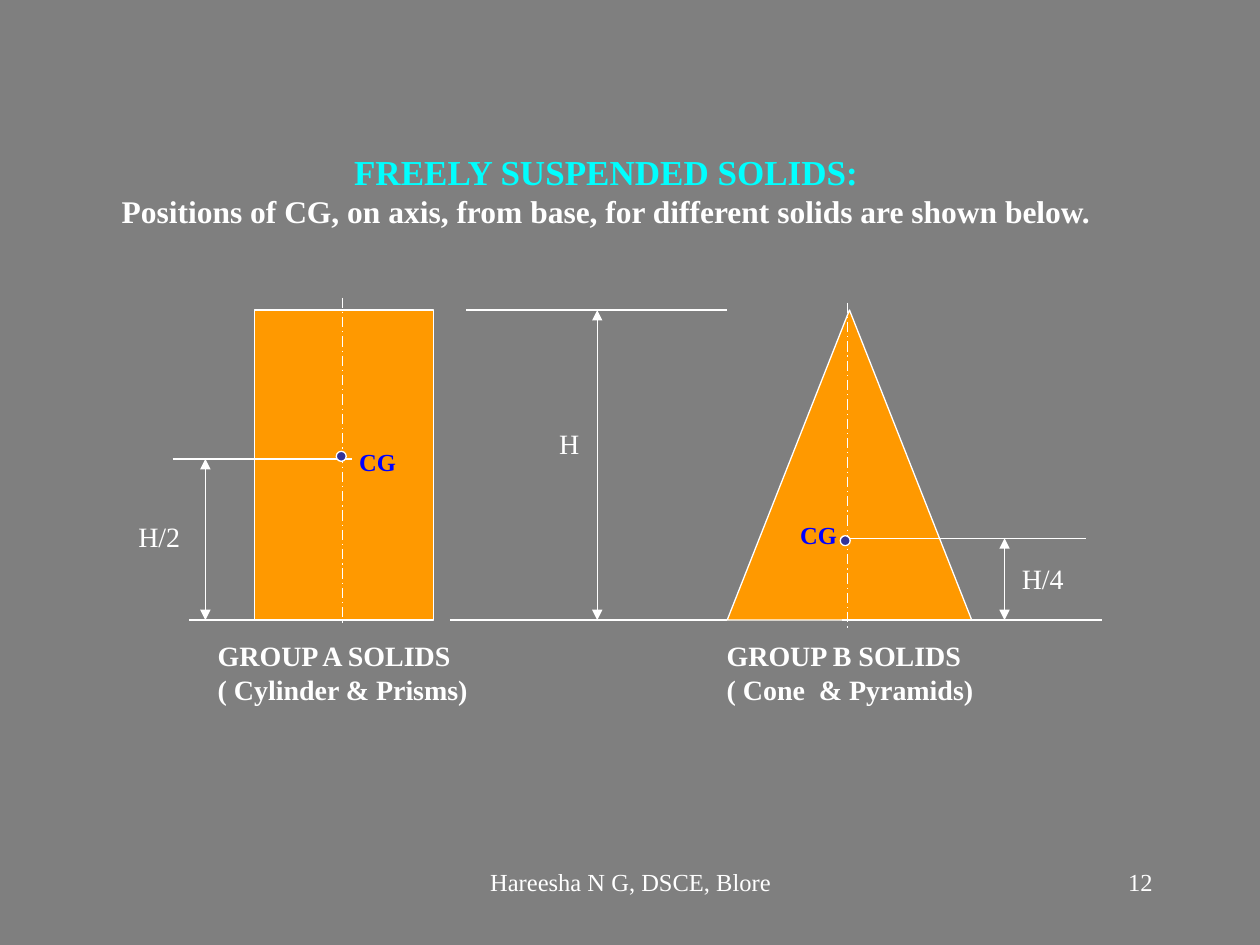
"""Build the slide on centres of gravity of freely suspended solids."""
from dataclasses import dataclass

from lxml.etree import SubElement
from pptx import Presentation
from pptx.dml.color import RGBColor
from pptx.enum.dml import MSO_LINE
from pptx.enum.shapes import MSO_CONNECTOR, MSO_SHAPE
from pptx.enum.text import MSO_ANCHOR, MSO_AUTO_SIZE, PP_ALIGN
from pptx.oxml.ns import qn
from pptx.slide import Slide
from pptx.util import Cm, Pt


@dataclass(frozen=True)
class Theme:
    font: str = "Times New Roman"
    background: RGBColor = RGBColor(0x7F, 0x7F, 0x7F)
    white: RGBColor = RGBColor(0xFF, 0xFF, 0xFF)
    heading: RGBColor = RGBColor(0x00, 0xFF, 0xFF)
    solid: RGBColor = RGBColor(0xFF, 0x99, 0x00)
    marker: RGBColor = RGBColor(0x33, 0x33, 0x99)
    marker_label: RGBColor = RGBColor(0x00, 0x00, 0xFF)
    heading_size: int = 20
    subtitle_size: int = 18
    label_size: int = 16
    small_size: int = 14
    line_width: float = 0.75


THEME = Theme()
TOP, BASE = 6.25, 12.5
HALF_HEIGHT, QUARTER_HEIGHT = 9.25, 10.85
LABEL_HEIGHT = 0.94
MARKER_LABEL_WIDTH, MARKER_LABEL_HEIGHT = 1.32, 0.86
FOOTER_TOP, FOOTER_HEIGHT = 17.35, 1.27


@dataclass(frozen=True)
class Solid:
    kind: MSO_SHAPE
    left: float
    top: float
    width: float
    height: float
    fill: RGBColor = THEME.solid


@dataclass(frozen=True)
class Rule:
    start_x: float
    start_y: float
    end_x: float
    end_y: float
    arrows: bool = False
    dash: MSO_LINE | None = None


@dataclass(frozen=True)
class Line:
    text: str
    size: int = THEME.label_size
    color: RGBColor = THEME.white
    bold: bool = False


@dataclass(frozen=True)
class Label:
    left: float
    top: float
    width: float
    height: float
    lines: tuple[Line, ...]
    align: PP_ALIGN = PP_ALIGN.LEFT
    wrap: bool = False


SOLIDS = (
    Solid(MSO_SHAPE.RECTANGLE, 5.13, TOP, 3.61, BASE - TOP),
    Solid(MSO_SHAPE.ISOSCELES_TRIANGLE, 14.66, TOP, 4.93, BASE - TOP),
)
MARKERS = (
    Solid(MSO_SHAPE.OVAL, 6.78, 9.1, 0.2, 0.2, THEME.marker),
    Solid(MSO_SHAPE.OVAL, 16.94, 10.8, 0.2, 0.2, THEME.marker),
)
RULES = (
    Rule(9.4, TOP, 14.66, TOP),
    Rule(9.07, BASE, 14.66, BASE),
    Rule(12.04, TOP, 12.04, BASE, arrows=True),
    Rule(6.9, 6, 6.9, 12.57, dash=MSO_LINE.LONG_DASH_DOT),
    Rule(17.09, 6.1, 17.09, 12.67, dash=MSO_LINE.LONG_DASH_DOT),
    Rule(3.81, BASE, 5.46, BASE),
    Rule(3.48, HALF_HEIGHT, 7.1, HALF_HEIGHT),
    Rule(16.97, QUARTER_HEIGHT, 21.89, QUARTER_HEIGHT),
    Rule(16.97, BASE, 22.22, BASE),
    Rule(20.25, QUARTER_HEIGHT, 20.25, BASE, arrows=True),
    Rule(4.14, HALF_HEIGHT, 4.14, BASE, arrows=True),
)
CG_LINE = Line("CG", THEME.small_size, THEME.marker_label, True)
LABELS = (
    Label(2.16, 2.9, 20.12, 1.88, (
        Line("FREELY SUSPENDED SOLIDS:", THEME.heading_size, THEME.heading, True),
        Line("Positions of CG, on axis, from base, for different solids are shown below.",
             THEME.subtitle_size, bold=True),
    ), PP_ALIGN.CENTER),
    Label(11.02, 8.48, 0.91, LABEL_HEIGHT, (Line("H"),)),
    Label(2.54, 10.34, 1.35, LABEL_HEIGHT, (Line("H/2"),)),
    Label(20.35, 11.2, 1.35, LABEL_HEIGHT, (Line("H/4"),)),
    Label(4.14, 12.75, 5.56, 1.63, (
        Line("GROUP A SOLIDS", bold=True), Line("( Cylinder & Prisms)", bold=True))),
    Label(14.4, 12.75, 5.49, 1.63, (
        Line("GROUP B SOLIDS", bold=True), Line("( Cone  & Pyramids)", bold=True))),
    Label(6.99, 8.89, MARKER_LABEL_WIDTH, MARKER_LABEL_HEIGHT, (CG_LINE,)),
    Label(15.88, 10.36, MARKER_LABEL_WIDTH, MARKER_LABEL_HEIGHT, (CG_LINE,)),
    Label(18.21, FOOTER_TOP, 5.28, FOOTER_HEIGHT,
          (Line("12", THEME.small_size),), PP_ALIGN.RIGHT, True),
    Label(8.69, FOOTER_TOP, 8.05, FOOTER_HEIGHT,
          (Line("Hareesha N G, DSCE, Blore", THEME.small_size),), PP_ALIGN.CENTER, True),
)


def draw_solid(slide: Slide, solid: Solid) -> None:
    shape = slide.shapes.add_shape(
        solid.kind, Cm(solid.left), Cm(solid.top), Cm(solid.width), Cm(solid.height))
    shape.shadow.inherit = False
    shape.fill.solid()
    shape.fill.fore_color.rgb = solid.fill
    shape.line.color.rgb = THEME.white
    shape.line.width = Pt(THEME.line_width)


def draw_rule(slide: Slide, rule: Rule) -> None:
    connector = slide.shapes.add_connector(
        MSO_CONNECTOR.STRAIGHT, Cm(rule.start_x), Cm(rule.start_y),
        Cm(rule.end_x), Cm(rule.end_y))
    connector.line.color.rgb = THEME.white
    connector.line.width = Pt(THEME.line_width)
    if rule.dash is not None:
        connector.line.dash_style = rule.dash
    if rule.arrows:
        outline = connector.line._get_or_add_ln()
        for end in ("a:headEnd", "a:tailEnd"):
            SubElement(outline, qn(end), type="triangle")
    SubElement(connector._element.spPr, qn("a:effectLst"))


def draw_label(slide: Slide, label: Label) -> None:
    box = slide.shapes.add_textbox(
        Cm(label.left), Cm(label.top), Cm(label.width), Cm(label.height))
    frame = box.text_frame
    frame.word_wrap = label.wrap
    frame.auto_size = MSO_AUTO_SIZE.NONE if label.wrap else MSO_AUTO_SIZE.SHAPE_TO_FIT_TEXT
    frame.vertical_anchor = MSO_ANCHOR.TOP
    for index, line in enumerate(label.lines):
        paragraph = frame.add_paragraph() if index else frame.paragraphs[0]
        paragraph.alignment = label.align
        run = paragraph.add_run()
        run.text = line.text
        run.font.name = THEME.font
        run.font.size = Pt(line.size)
        run.font.bold = line.bold
        run.font.color.rgb = line.color


def main() -> None:
    presentation = Presentation()
    presentation.slide_width, presentation.slide_height = Cm(25.4), Cm(19.05)
    slide = presentation.slides.add_slide(presentation.slide_layouts[6])
    slide.background.fill.solid()
    slide.background.fill.fore_color.rgb = THEME.background
    for solid in SOLIDS:
        draw_solid(slide, solid)
    for rule in RULES:
        draw_rule(slide, rule)
    for label in LABELS:
        draw_label(slide, label)
    for marker in MARKERS:
        draw_solid(slide, marker)
    presentation.save("out.pptx")


if __name__ == "__main__":
    main()
